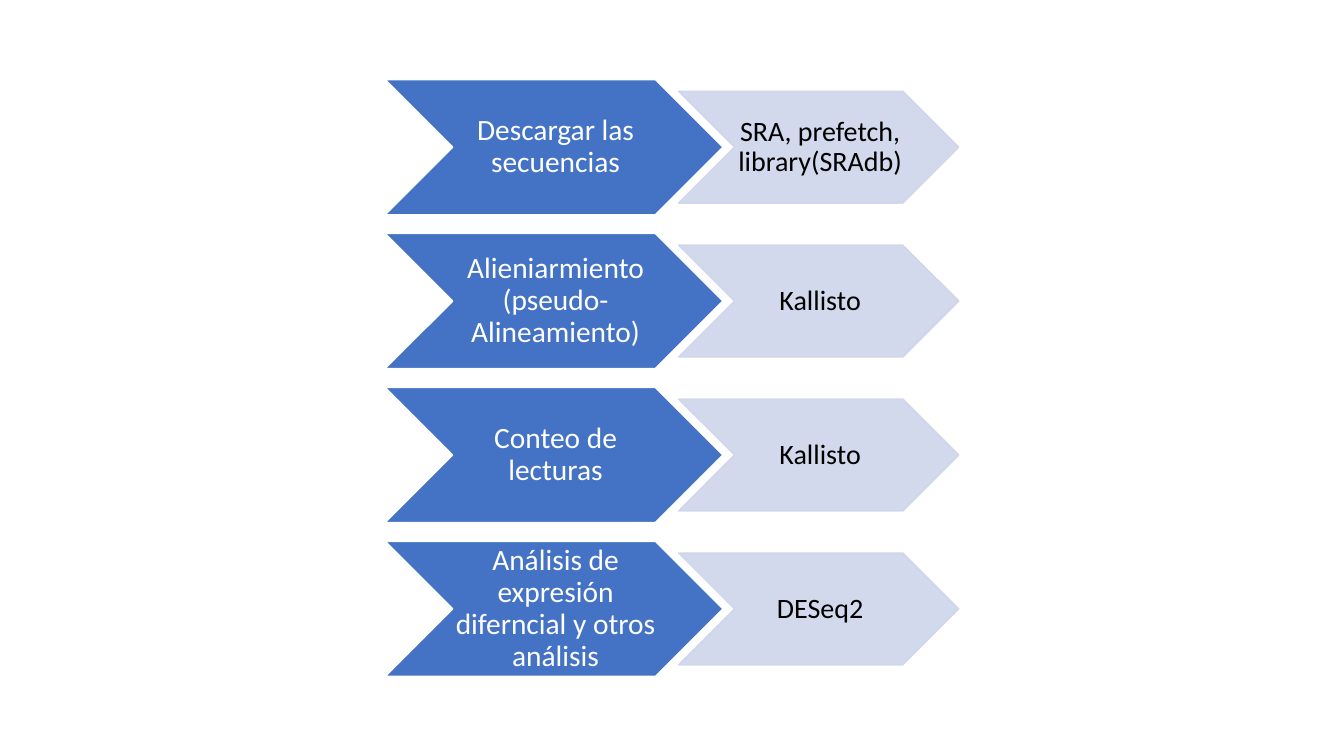
"""Build a slide of four analysis steps, each paired with its tools."""
from lxml import etree
from pptx import Presentation
from pptx.dml.color import RGBColor
from pptx.enum.shapes import MSO_SHAPE
from pptx.enum.text import MSO_ANCHOR, PP_ALIGN
from pptx.oxml.ns import qn
from pptx.util import Inches, Pt

CHEVRON = MSO_SHAPE.CHEVRON
MIDDLE = MSO_ANCHOR.MIDDLE
CENTER = PP_ALIGN.CENTER
BLUE = RGBColor(0x44, 0x72, 0xC4)
PALE = RGBColor(0xCF, 0xD5, 0xEA)
WHITE = RGBColor(0xFF, 0xFF, 0xFF)
BLACK = RGBColor(0x00, 0x00, 0x00)

STEPS = [
    ("Descargar las secuencias", "SRA, prefetch, library(SRAdb)"),
    ("Alieniarmiento (pseudo-Alineamiento)", "Kallisto"),
    ("Conteo de lecturas", "Kallisto"),
    ("Análisis de expresión diferncial y otros análisis", "DESeq2"),
]
FIRST_CENTER = 1.46
ROW_PITCH = 1.527

prs = Presentation()
prs.slide_width, prs.slide_height = Inches(13.33), Inches(7.5)
slide = prs.slides.add_slide(prs.slide_layouts[6])


def add_chevron(left, center, width, height, fill, outline, label, size, ink):
    chevron = slide.shapes.add_shape(
        CHEVRON, Inches(left), Inches(center - height / 2), Inches(width), Inches(height))
    chevron.shadow.inherit = False
    chevron.fill.solid()
    chevron.fill.fore_color.rgb = fill
    chevron.line.color.rgb = outline
    chevron.line.width = Pt(1)
    frame = chevron.text_frame
    frame.word_wrap = True
    frame.vertical_anchor = MIDDLE
    frame.margin_left, frame.margin_right = Inches(0.03), 0
    frame.margin_top = frame.margin_bottom = Inches(0.01)
    paragraph = frame.paragraphs[0]
    paragraph.alignment = CENTER
    paragraph.line_spacing = 0.9
    run = paragraph.add_run()
    run.text = label
    run.font.name = "Calibri"
    run.font.size = Pt(size)
    run.font.color.rgb = ink
    return chevron


for row, (step, tools) in enumerate(STEPS):
    center = FIRST_CENTER + row * ROW_PITCH
    add_chevron(3.82, center, 3.35, 1.34, BLUE, WHITE, step, 21, WHITE)
    tools_chevron = add_chevron(6.73, center, 2.78, 1.11, PALE, PALE, tools, 20, BLACK)
    for color in tools_chevron._element.spPr.iter(qn("a:srgbClr")):
        etree.SubElement(color, qn("a:alpha")).set("val", "90000")

prs.save("out.pptx")
